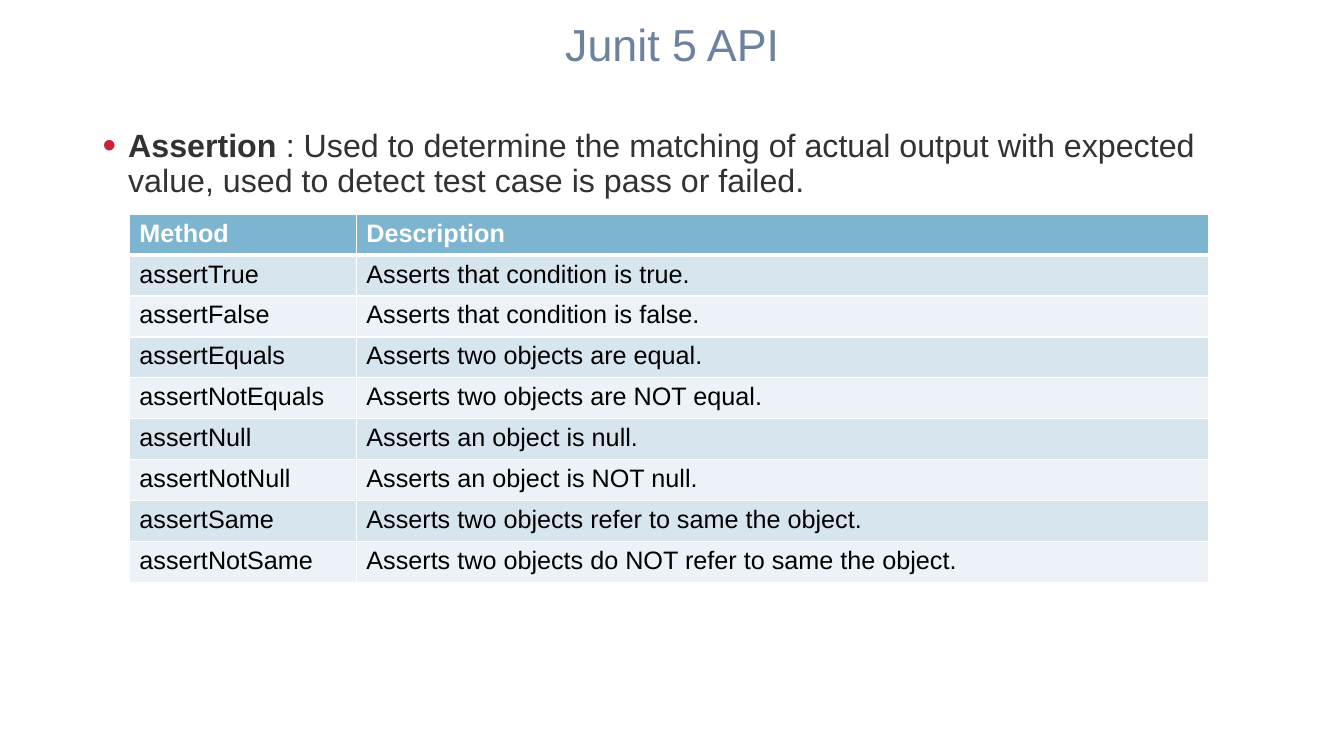
from dataclasses import dataclass

from lxml.etree import SubElement
from pptx import Presentation
from pptx.dml.color import RGBColor
from pptx.enum.text import MSO_ANCHOR, PP_ALIGN
from pptx.oxml.ns import qn
from pptx.util import Cm, Pt


@dataclass(frozen=True)
class Theme:
    """Colours, font and type sizes of the slide."""
    font: str = "Arial"
    title: str = "6D829F"
    body: str = "323232"
    bullet: str = "CB2236"
    header: str = "7DB4D0"
    bands: tuple = ("D7E5EE", "ECF2F7")
    white: str = "FFFFFF"
    black: str = "000000"
    title_size: int = 32
    body_size: int = 23
    table_size: int = 18


METHODS = [
    ("Method", "Description"),
    ("assertTrue", "Asserts that condition is true."),
    ("assertFalse", "Asserts that condition is false."),
    ("assertEquals", "Asserts two objects are equal."),
    ("assertNotEquals", "Asserts two objects are NOT equal."),
    ("assertNull", "Asserts an object is null."),
    ("assertNotNull", "Asserts an object is NOT null."),
    ("assertSame", "Asserts two objects refer to same the object."),
    ("assertNotSame", "Asserts two objects do NOT refer to same the object."),
]


def add_text(para, text, *, font, size, color, bold=False):
    """Append a formatted run to a paragraph."""
    span = para.add_run()
    span.text = text
    span.font.name = font
    span.font.size = Pt(size)
    span.font.bold = bold
    span.font.color.rgb = RGBColor.from_string(color)


def add_color(parent, color):
    """Append an RGB colour element."""
    SubElement(parent, qn("a:srgbClr"), val=color)


class SlideBuilder:
    """Draw styled elements on the current slide."""

    def __init__(self, page, theme):
        """Keep the slide and its theme."""
        self.page = page
        self.theme = theme

    def text_box(self, left, top, width, height, anchor):
        """Add a wrapping text box and return its first paragraph."""
        box = self.page.shapes.add_textbox(Cm(left), Cm(top), Cm(width), Cm(height))
        box.text_frame.word_wrap = True
        box.text_frame.vertical_anchor = anchor
        para = box.text_frame.paragraphs[0]
        para.line_spacing = 0.9
        return para

    def title(self, text):
        """Add the centred slide title."""
        para = self.text_box(2.34, 0.43, 29.21, 1.5, MSO_ANCHOR.MIDDLE)
        para.alignment = PP_ALIGN.CENTER
        add_text(para, text, font=self.theme.font, size=self.theme.title_size,
                 color=self.theme.title)

    def bullet(self, term, explanation):
        """Add a bulleted term with its explanation."""
        theme = self.theme
        para = self.text_box(2.34, 3.15, 29.21, 14.02, MSO_ANCHOR.TOP)
        para.space_before = Pt(10)
        properties = para._p.get_or_add_pPr()
        properties.set("marL", str(Cm(0.64)))
        properties.set("indent", str(-Cm(0.64)))
        add_color(SubElement(properties, qn("a:buClr")), theme.bullet)
        SubElement(properties, qn("a:buSzPct"), val="120000")
        SubElement(properties, qn("a:buFont"), typeface=theme.font)
        SubElement(properties, qn("a:buChar"), char="•")
        for text, bold in ((term, True), (explanation, False)):
            add_text(para, text, font=theme.font, size=theme.body_size,
                     color=theme.body, bold=bold)

    def borders(self, cell, top, bottom):
        """Draw white borders around a table cell."""
        properties = cell._tc.get_or_add_tcPr()
        for side, width in (("L", 1), ("R", 1), ("T", top), ("B", bottom)):
            line = SubElement(properties, qn(f"a:ln{side}"), w=str(Pt(width)))
            add_color(SubElement(line, qn("a:solidFill")), self.theme.white)

    def table(self, rows, left, top, widths, row_height):
        """Add a banded table whose first row is the header."""
        theme = self.theme
        frame = self.page.shapes.add_table(
            len(rows), len(widths), Cm(left), Cm(top),
            Cm(sum(widths)), Cm(row_height * len(rows)))
        table = frame.table
        for column, width in zip(table.columns, widths):
            column.width = Cm(width)
        for index, texts in enumerate(rows):
            header = index == 0
            fill = theme.header if header else theme.bands[(index - 1) % 2]
            table.rows[index].height = Cm(row_height)
            for cell, text in zip(table.rows[index].cells, texts):
                self.borders(cell, 3 if index == 1 else 1, 3 if header else 1)
                cell.fill.solid()
                cell.fill.fore_color.rgb = RGBColor.from_string(fill)
                add_text(cell.text_frame.paragraphs[0], text, font=theme.font,
                         size=theme.table_size, bold=header,
                         color=theme.white if header else theme.black)


def main():
    """Build and save the slide."""
    deck = Presentation()
    deck.slide_width, deck.slide_height = Cm(33.87), Cm(19.05)
    page = deck.slides.add_slide(deck.slide_layouts[6])
    builder = SlideBuilder(page, Theme())
    builder.title("Junit 5 API")
    builder.bullet("Assertion ", ": Used to determine the matching of actual output "
                   "with expected value, used to detect test case is pass or failed.")
    builder.table(METHODS, 3.26, 5.4, (5.72, 21.49), 1.03)
    deck.save("out.pptx")


if __name__ == "__main__":
    main()
